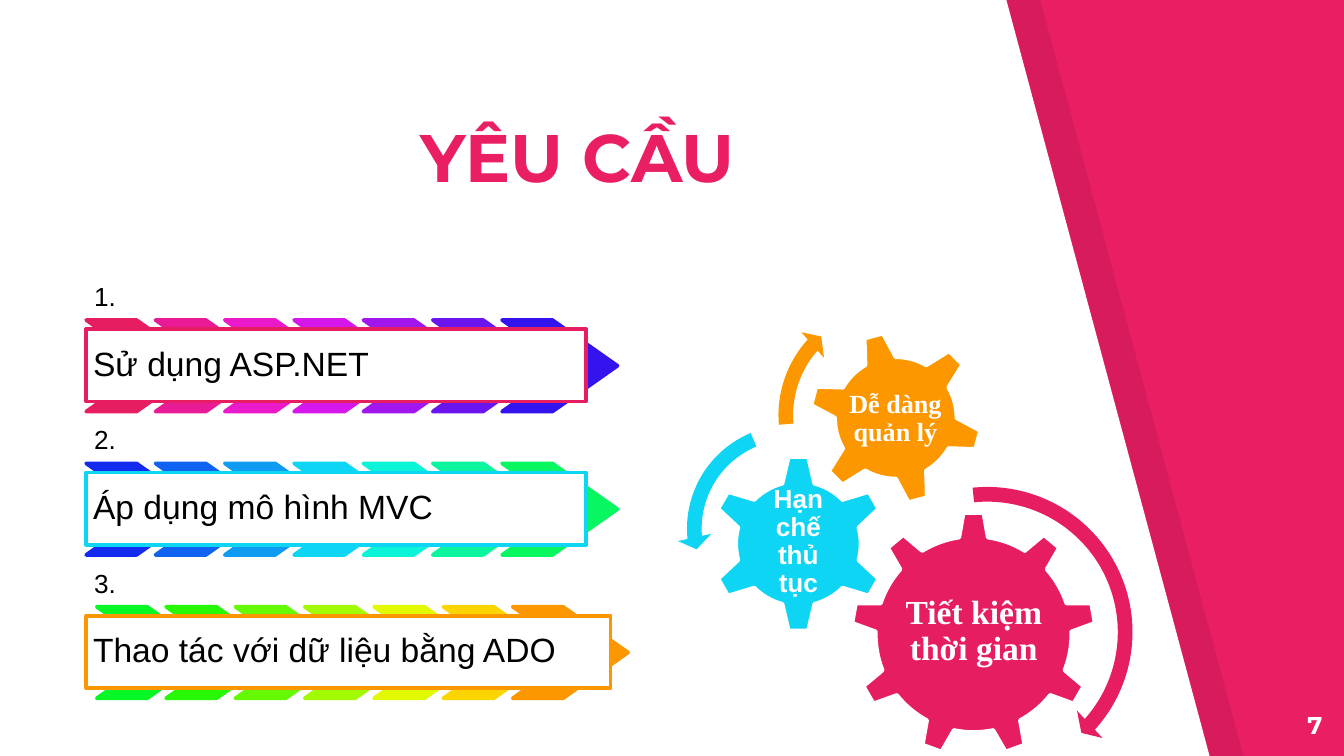
from dataclasses import dataclass

from lxml.etree import SubElement
from pptx import Presentation
from pptx.dml.color import RGBColor
from pptx.enum.shapes import MSO_SHAPE
from pptx.enum.text import MSO_ANCHOR, MSO_AUTO_SIZE, PP_ALIGN
from pptx.oxml.ns import qn
from pptx.shapes.autoshape import Shape
from pptx.slide import Slide
from pptx.util import Cm, Pt

WHITE = RGBColor(0xFF, 0xFF, 0xFF)
BLACK = RGBColor(0x00, 0x00, 0x00)
PINK = RGBColor(0xE9, 0x1E, 0x63)
CRIMSON = RGBColor(0xE7, 0x1D, 0x61)
CYAN = RGBColor(0x0D, 0xD5, 0xF3)
ORANGE = RGBColor(0xFD, 0x97, 0x00)

SLIDE_WIDTH, SLIDE_HEIGHT = 25.4, 14.29
ROW_TOP, ROW_PITCH = 5.21, 2.71
ROW_LEFT = 1.63
CHEVRON_PITCH = 1.31


@dataclass
class Gear:
    text: str
    kind: MSO_SHAPE
    left: float
    top: float
    size: float
    text_box: tuple[float, float, float, float]
    color: RGBColor
    font: str = "Times New Roman"
    font_size: int = 14
    rotation: int = 0


@dataclass
class TurnArrow:
    kind: MSO_SHAPE
    left: float
    top: float
    size: float
    color: RGBColor
    adjustments: tuple[int, ...]


@dataclass
class Requirement:
    text: str
    color: RGBColor
    chevron_colors: str
    chevron_left: float = ROW_LEFT
    bar_width: float = 9.45


GEARS = [
    Gear("Tiết kiệm thời gian", MSO_SHAPE.GEAR_9, 16.09, 9.68, 4.62,
         (17.02, 10.74, 2.77, 2.39), CRIMSON, font_size=18),
    Gear("Hạn chế thủ tục", MSO_SHAPE.GEAR_6, 13.41, 8.6, 3.36,
         (14.25, 9.42, 1.68, 1.65), CYAN, font="Arial"),
    Gear("Dễ dàng quản lý", MSO_SHAPE.GEAR_6, 15.29, 6.26, 3.28,
         (16, 6.99, 1.85, 1.85), ORANGE, rotation=345),
]

# Thickness, head angle, end angle, start angle and head width
TURN_ARROWS = [
    TurnArrow(MSO_SHAPE.CIRCULAR_ARROW, 15.7, 8.99, 5.92, CRIMSON,
              (4687, 299029, 2518919, 15852014, 5984)),
    TurnArrow(MSO_SHAPE.LEFT_CIRCULAR_ARROW, 12.8, 7.85, 4.29, CYAN,
              (6452, 429999, 10489124, 14837806, 7527)),
    TurnArrow(MSO_SHAPE.CIRCULAR_ARROW, 14.53, 5.54, 4.62, ORANGE,
              (5984, 394124, 13313824, 10508221, 6981)),
]

REQUIREMENTS = [
    Requirement("Sử dụng ASP.NET", CRIMSON,
                "E71D61 E91A95 EA19C9 D517EB A116EC 6A15ED 3313EE"),
    Requirement("Áp dụng mô hình MVC", CYAN,
                "122BEF 1063F0 0F9BF1 0DD5F3 0BF4D7 0AF59D 08F660"),
    Requirement("Thao tác với dữ liệu bằng ADO", ORANGE,
                "07F724 26F806 65F905 A2FA04 E1FA03 FBD502 FD9700",
                chevron_left=1.83, bar_width=9.91),
]


def write_text(shape: Shape, text: str, *, font: str = "Arial", size: int = 18,
               color: RGBColor = BLACK, bold: bool = False, inset: float = 0.13,
               align: PP_ALIGN = PP_ALIGN.LEFT, line_spacing: float = 0.9,
               anchor: MSO_ANCHOR = MSO_ANCHOR.MIDDLE) -> None:
    frame = shape.text_frame
    frame.word_wrap = True
    frame.auto_size = MSO_AUTO_SIZE.NONE
    frame.vertical_anchor = anchor
    frame.margin_left = frame.margin_right = Cm(inset)
    frame.margin_top = frame.margin_bottom = Cm(inset)
    frame.text = text
    paragraph = frame.paragraphs[0]
    paragraph.alignment = align
    paragraph.line_spacing = line_spacing
    run_font = paragraph.runs[0].font
    run_font.name = font
    run_font.size = Pt(size)
    run_font.bold = bold
    run_font.color.rgb = color


def add_text_box(slide: Slide, left: float, top: float, width: float,
                 height: float, text: str, **text_format) -> None:
    box = slide.shapes.add_textbox(Cm(left), Cm(top), Cm(width), Cm(height))
    write_text(box, text, **text_format)


def paint(shape: Shape, fill: RGBColor, line: RGBColor | None = None) -> None:
    shape.shadow.inherit = False
    shape.fill.solid()
    shape.fill.fore_color.rgb = fill
    if line is None:
        shape.line.fill.background()
    else:
        shape.line.color.rgb = line
        shape.line.width = Pt(2)


def add_preset(slide: Slide, kind: MSO_SHAPE, left: float, top: float,
               width: float, height: float, fill: RGBColor,
               line: RGBColor | None = None) -> Shape:
    shape = slide.shapes.add_shape(kind, Cm(left), Cm(top), Cm(width), Cm(height))
    paint(shape, fill, line)
    return shape


def add_slanted_panel(slide: Slide, left: float, color: RGBColor) -> Shape:
    corners = [(0, SLIDE_HEIGHT), (22.86, SLIDE_HEIGHT), (19.02, 0)]
    builder = slide.shapes.build_freeform(Cm(left), 0)
    builder.add_line_segments([(Cm(left + x), Cm(y)) for x, y in corners])
    panel = builder.convert_to_shape()
    paint(panel, color)
    return panel


def add_gear(slide: Slide, gear: Gear) -> None:
    shape = add_preset(slide, gear.kind, gear.left, gear.top, gear.size,
                       gear.size, gear.color, WHITE)
    shape.rotation = gear.rotation
    add_text_box(slide, *gear.text_box, gear.text, font=gear.font,
                 size=gear.font_size, color=WHITE, bold=True, inset=0.05,
                 align=PP_ALIGN.CENTER)


def add_turn_arrow(slide: Slide, arrow: TurnArrow) -> None:
    shape = add_preset(slide, arrow.kind, arrow.left, arrow.top, arrow.size,
                       arrow.size, arrow.color)
    for index, value in enumerate(arrow.adjustments):
        shape.adjustments[index] = value / 100000


def add_requirement(slide: Slide, index: int, requirement: Requirement) -> None:
    top = ROW_TOP + index * ROW_PITCH
    add_text_box(slide, ROW_LEFT, top, 9.35, 0.84, f"{index + 1}.", size=14,
                 inset=0.15, anchor=MSO_ANCHOR.BOTTOM)
    for step, code in enumerate(requirement.chevron_colors.split()):
        color = RGBColor.from_string(code)
        chevron = add_preset(slide, MSO_SHAPE.CHEVRON,
                             requirement.chevron_left + step * CHEVRON_PITCH,
                             top + 0.84, 2.18, 1.73, color, color)
        chevron.adjustments[0] = 0.71
    bar = add_preset(slide, MSO_SHAPE.RECTANGLE, ROW_LEFT, top + 1.01,
                     requirement.bar_width, 1.37, WHITE, requirement.color)
    write_text(bar, requirement.text)


def main() -> None:
    presentation = Presentation()
    presentation.slide_width = Cm(SLIDE_WIDTH)
    presentation.slide_height = Cm(SLIDE_HEIGHT)
    slide = presentation.slides.add_slide(presentation.slide_layouts[5])
    slide.background.fill.solid()
    slide.background.fill.fore_color.rgb = PINK

    shade = add_slanted_panel(slide, 0.64, BLACK)
    shade_color = shade.element.spPr.find(qn("a:solidFill"))[0]
    SubElement(shade_color, qn("a:alpha"), val="7000")
    add_slanted_panel(slide, 0, WHITE)

    add_text_box(slide, 23.72, 13.18, 1.52, 1.09, "7", font="Montserrat", size=13,
                 color=WHITE, bold=True, inset=0.25, align=PP_ALIGN.RIGHT,
                 line_spacing=1.0, anchor=MSO_ANCHOR.TOP)
    for gear in GEARS:
        add_gear(slide, gear)
    for arrow in TURN_ARROWS:
        add_turn_arrow(slide, arrow)
    for index, requirement in enumerate(REQUIREMENTS):
        add_requirement(slide, index, requirement)

    title = slide.shapes.title
    title.left, title.top, title.width, title.height = Cm(7.7), Cm(2.16), Cm(8.13), Cm(1.8)
    write_text(title, "YÊU CẦU", font="Montserrat", size=36, color=PINK, bold=True,
               inset=0.25, line_spacing=1.0, anchor=MSO_ANCHOR.BOTTOM)
    title.element.getparent().append(title.element)  # in front of the panels

    presentation.save("out.pptx")


if __name__ == "__main__":
    main()
